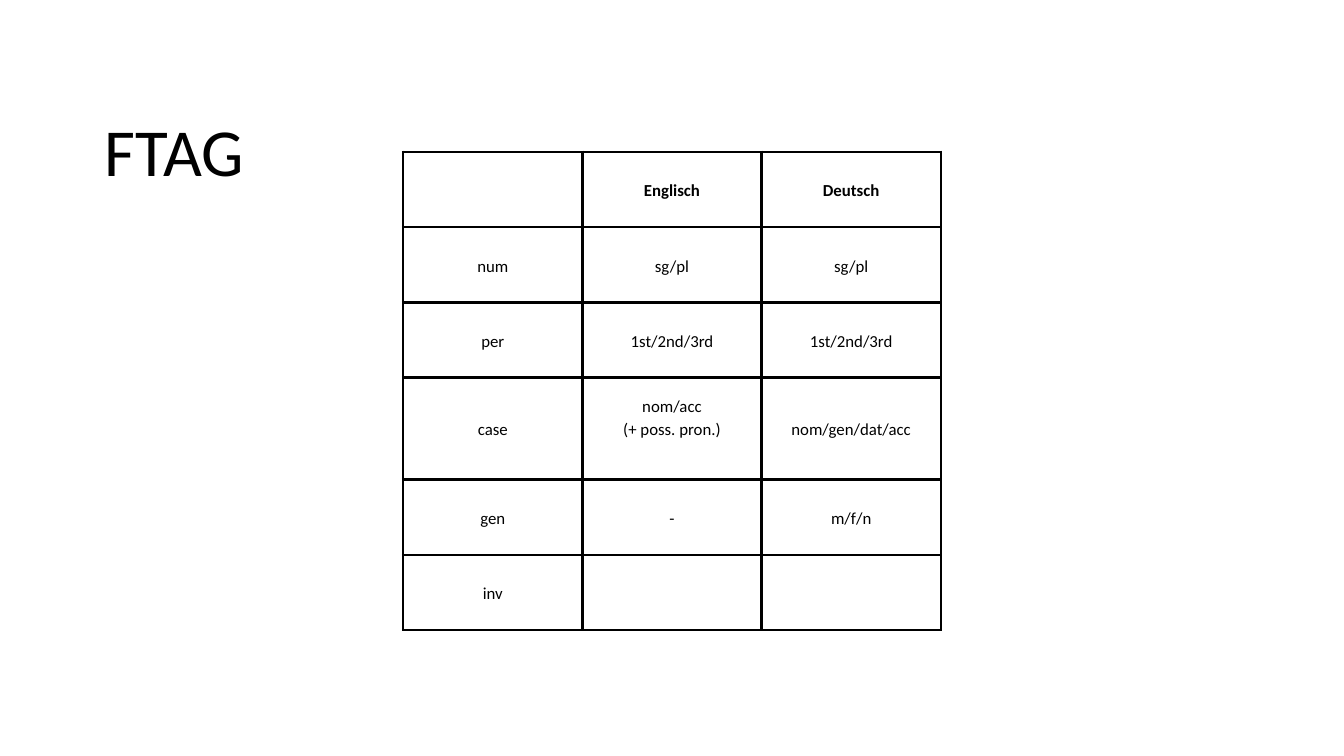
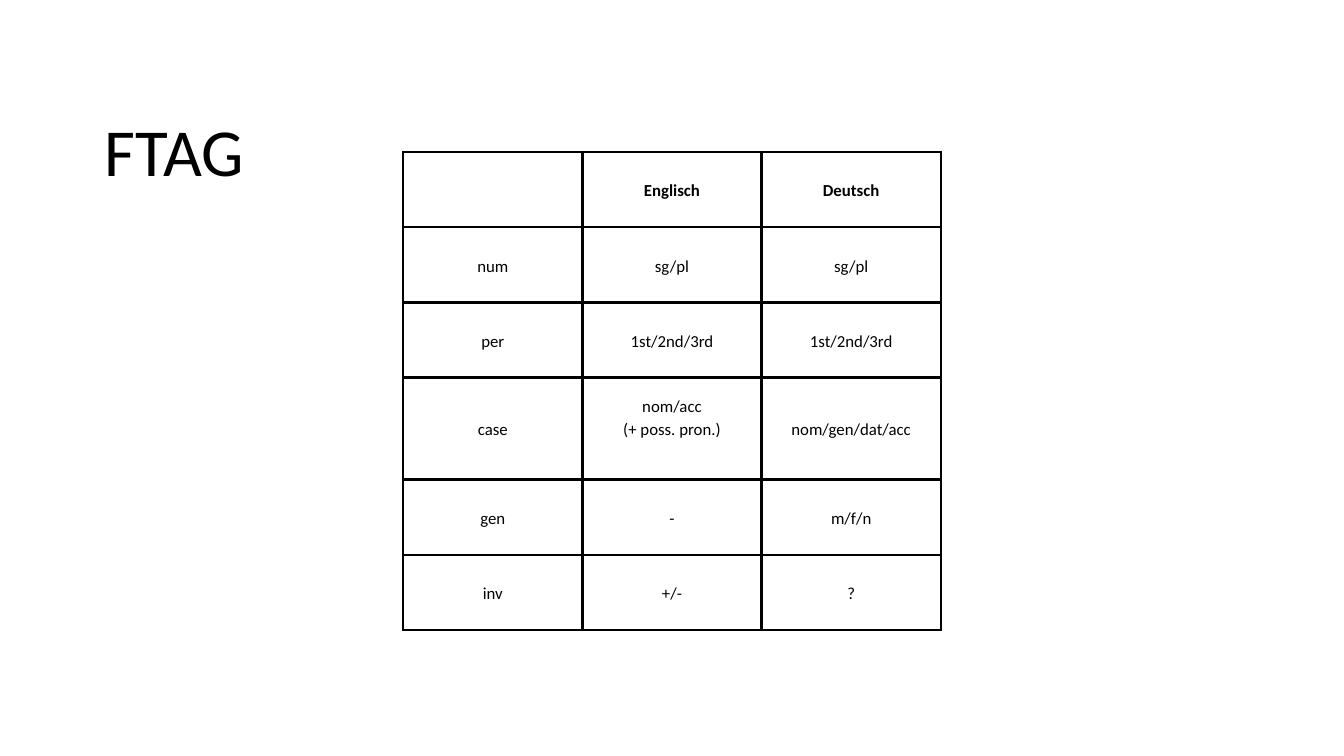
from lxml import etree
from pptx import Presentation
from pptx.dml.color import RGBColor
from pptx.enum.text import MSO_ANCHOR, MSO_AUTO_SIZE, PP_ALIGN
from pptx.oxml.ns import qn
from pptx.util import Inches, Pt

MIDDLE = MSO_ANCHOR.MIDDLE
GROW = MSO_AUTO_SIZE.SHAPE_TO_FIT_TEXT
CENTER = PP_ALIGN.CENTER
LEFT = PP_ALIGN.LEFT

COLORS = {"text": "000000", "border": "000000", "background": "FFFFFF"}
FONT = "Calibri"
LINE_FACTOR = 1.4
CELL_SIZE = 18
CELL_MARGIN = 0.21
BORDER_WIDTH = Pt(3)
ROW_HEIGHT = 1.12
CASE_ROW_HEIGHT = 1.52
CASE_CELL_BOTTOM = 0.56

FEATURES = [
    ["", "Englisch", "Deutsch"],
    ["num", "sg/pl", "sg/pl"],
    ["per", "1st/2nd/3rd", "1st/2nd/3rd"],
    ["case", "nom/acc\n(+ poss. pron.)", "nom/gen/dat/acc"],
    ["gen", "-", "m/f/n"],
]
INVERSION_ROWS = [["inv", "", ""], ["inv", "+/-", "?"]]


def set_attributes(target, values):
    for name, value in values.items():
        setattr(target, name, value)


def write_text(text_frame, text, size, alignment=LEFT, bold=False):
    text_frame.text = text
    for paragraph in text_frame.paragraphs:
        set_attributes(paragraph, {
            "alignment": alignment,
            "line_spacing": Pt(size * LINE_FACTOR),
        })
        set_attributes(paragraph.font, {"name": FONT, "size": Pt(size), "bold": bold})
        paragraph.font.color.rgb = RGBColor.from_string(COLORS["text"])


def add_title(slide, text):
    shape = slide.shapes.add_textbox(Inches(1.56), Inches(1.43), Inches(16.88), Inches(1.33))
    text_frame = shape.text_frame
    set_attributes(text_frame, {
        "word_wrap": True,
        "auto_size": GROW,
        "margin_left": 0,
        "margin_right": 0,
        "margin_top": 0,
        "margin_bottom": 0,
    })
    write_text(text_frame, text, 72)


def add_borders(cell):
    properties = cell._tc.get_or_add_tcPr()
    for side in ("lnL", "lnR", "lnT", "lnB"):
        line = etree.SubElement(properties, qn(f"a:{side}"), w=str(BORDER_WIDTH))
        fill = etree.SubElement(line, qn("a:solidFill"))
        etree.SubElement(fill, qn("a:srgbClr"), val=COLORS["border"])


def format_cell(cell, text, bold):
    bottom = CASE_CELL_BOTTOM if "\n" in text else CELL_MARGIN
    set_attributes(cell, {
        "vertical_anchor": MIDDLE,
        "margin_left": Inches(CELL_MARGIN),
        "margin_right": Inches(CELL_MARGIN),
        "margin_top": Inches(CELL_MARGIN),
        "margin_bottom": Inches(bottom),
    })
    add_borders(cell)
    cell.fill.background()
    write_text(cell.text_frame, text, CELL_SIZE, CENTER, bold)


def add_feature_table(slide, rows):
    column_count = len(rows[0])
    frame = slide.shapes.add_table(
        len(rows), column_count, Inches(6), Inches(2.26), Inches(8), Inches(7.12))
    table = frame.table
    set_attributes(table, {"first_row": False, "horz_banding": False})
    for column in table.columns:
        column.width = Inches(8 / column_count)
    for row_index, texts in enumerate(rows):
        height = CASE_ROW_HEIGHT if texts[0] == "case" else ROW_HEIGHT
        table.rows[row_index].height = Inches(height)
        for column_index, text in enumerate(texts):
            format_cell(table.cell(row_index, column_index), text, row_index == 0)


def add_feature_slide(presentation, inversion_row):
    slide = presentation.slides.add_slide(presentation.slide_layouts[6])
    background = slide.background.fill
    background.solid()
    background.fore_color.rgb = RGBColor.from_string(COLORS["background"])
    add_feature_table(slide, FEATURES + [inversion_row])
    add_title(slide, "FTAG")


def main():
    presentation = Presentation()
    set_attributes(presentation, {"slide_width": Inches(20), "slide_height": Inches(11.25)})
    for inversion_row in INVERSION_ROWS:
        add_feature_slide(presentation, inversion_row)
    presentation.save("out.pptx")


if __name__ == "__main__":
    main()
